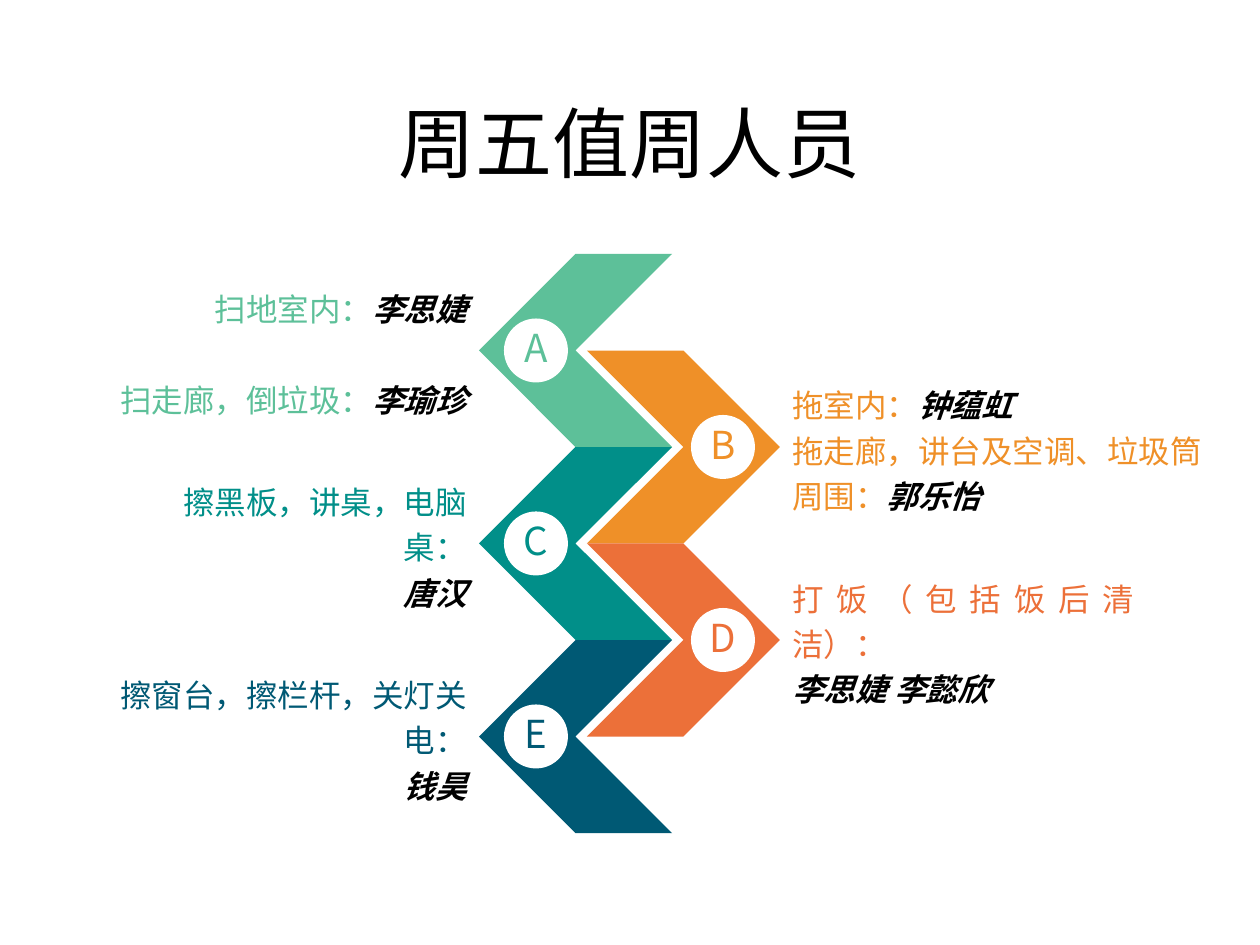
from dataclasses import dataclass

from pptx import Presentation
from pptx.dml.color import RGBColor
from pptx.enum.lang import MSO_LANGUAGE_ID
from pptx.enum.shapes import MSO_SHAPE
from pptx.enum.text import MSO_ANCHOR, PP_ALIGN
from pptx.util import Emu, Pt

CHINESE = MSO_LANGUAGE_ID.SIMPLIFIED_CHINESE
OVAL = MSO_SHAPE.OVAL
MIDDLE = MSO_ANCHOR.MIDDLE
CENTER, RIGHT, JUSTIFY = PP_ALIGN.CENTER, PP_ALIGN.RIGHT, PP_ALIGN.JUSTIFY


@dataclass
class Theme:
    font: str = "Arial"
    letter_font: str = "Noto Sans CJK JP"
    black: str = "000000"
    white: str = "FFFFFF"
    green: str = "5DC099"
    orange: str = "EF9028"
    teal: str = "018F89"
    coral: str = "EC7039"
    navy: str = "005974"
    title_size: int = 44
    letter_size: int = 22
    duty_size: int = 18


theme = Theme()


def px(length):
    return Emu(round(length * 914400 / 126))


def add_run(paragraph, text, size, color, font=theme.font, person=False):
    run = paragraph.add_run()
    run.text = text
    run.font.name = font
    run.font.size = Pt(size)
    run.font.color.rgb = RGBColor.from_string(color)
    run.font.language_id = CHINESE
    if person:
        run.font.bold = run.font.italic = True


presentation = Presentation()
presentation.slide_width, presentation.slide_height = px(1260), px(945)
slide = presentation.slides.add_slide(presentation.slide_layouts[5])

# Title
title = slide.shapes.title
title.left, title.top, title.width, title.height = px(86), px(50), px(1087), px(183)
title.text_frame.vertical_anchor = MIDDLE
paragraph = title.text_frame.paragraphs[0]
paragraph.alignment = CENTER
add_run(paragraph, "周五值周人员", theme.title_size, theme.black)

# Zigzag of chevrons: each one starts half a chevron below the one before
CHEVRON, BADGE, TOP = 193, 64, 254
HALF = CHEVRON / 2
LEFT_EDGE, RIGHT_EDGE = 672, 587
TIP_GAP = 25

# Letter, colour, text box (left, width, height), gap between paragraphs in points,
# paragraphs of (duty, person)
duties = [
    ("A", theme.green, (53, 426, 151), 26,
     [("扫地室内：", "李思婕"), ("扫走廊，倒垃圾：", "李瑜珍")]),
    ("B", theme.orange, (780, 476, 125), 0,
     [("拖室内：", "钟蕴虹"), ("拖走廊，讲台及空调、垃圾筒", ""), ("周围：", "郭乐怡")]),
    ("C", theme.teal, (122, 357, 151), 0,
     [("擦黑板，讲桌，电脑桌：", ""), ("", "唐汉")]),
    ("D", theme.coral, (780, 367, 125), 0,
     [("打饭（包括饭后清洁）：", ""), ("", "李思婕 李懿欣")]),
    ("E", theme.navy, (53, 426, 151), 0,
     [("擦窗台，擦栏杆，关灯关电：", ""), ("", "钱昊")]),
]

for row, (letter, color, (left, width, height), gap, lines) in enumerate(duties):
    points_left = row % 2 == 0
    edge, direction = (LEFT_EDGE, -1) if points_left else (RIGHT_EDGE, 1)
    top = TOP + row * HALF
    middle, bottom = top + HALF, top + CHEVRON
    notch, tip = edge + direction * HALF, edge + direction * CHEVRON

    # Chevron
    builder = slide.shapes.build_freeform(px(edge), px(top), scale=1.0)
    outline = [(notch, top), (tip, middle), (notch, bottom), (edge, bottom), (notch, middle)]
    builder.add_line_segments([(px(x), px(y)) for x, y in outline], close=True)
    chevron = builder.convert_to_shape()
    chevron.shadow.inherit = False
    chevron.fill.solid()
    chevron.fill.fore_color.rgb = RGBColor.from_string(color)
    chevron.line.fill.background()

    # Letter badge
    badge_left = tip + TIP_GAP if points_left else tip - TIP_GAP - BADGE
    badge = slide.shapes.add_shape(
        OVAL, px(badge_left), px(middle - BADGE / 2), px(BADGE), px(BADGE))
    badge.shadow.inherit = False
    badge.fill.solid()
    badge.fill.fore_color.rgb = RGBColor.from_string(theme.white)
    badge.line.fill.background()
    frame = badge.text_frame
    frame.margin_left = frame.margin_right = frame.margin_top = frame.margin_bottom = 0
    frame.vertical_anchor = MIDDLE
    paragraph = frame.paragraphs[0]
    paragraph.alignment = CENTER
    paragraph.line_spacing = 0.9
    add_run(paragraph, letter, theme.letter_size, color, theme.letter_font)

    # Duties and people
    box = slide.shapes.add_textbox(px(left), px(middle - height / 2), px(width), px(height))
    frame = box.text_frame
    frame.word_wrap = True
    frame.vertical_anchor = MIDDLE
    for index, (duty, person) in enumerate(lines):
        paragraph = frame.add_paragraph() if index else frame.paragraphs[0]
        paragraph.alignment = RIGHT if points_left else JUSTIFY
        paragraph.line_spacing = 1.2
        # Keep closing punctuation inside the box
        paragraph._p.get_or_add_pPr().set("hangingPunct", "0")
        if index and gap:
            paragraph.space_before = Pt(gap)
        if duty:
            add_run(paragraph, duty, theme.duty_size, color)
        if person:
            add_run(paragraph, person, theme.duty_size, theme.black, person=True)

presentation.save("out.pptx")
